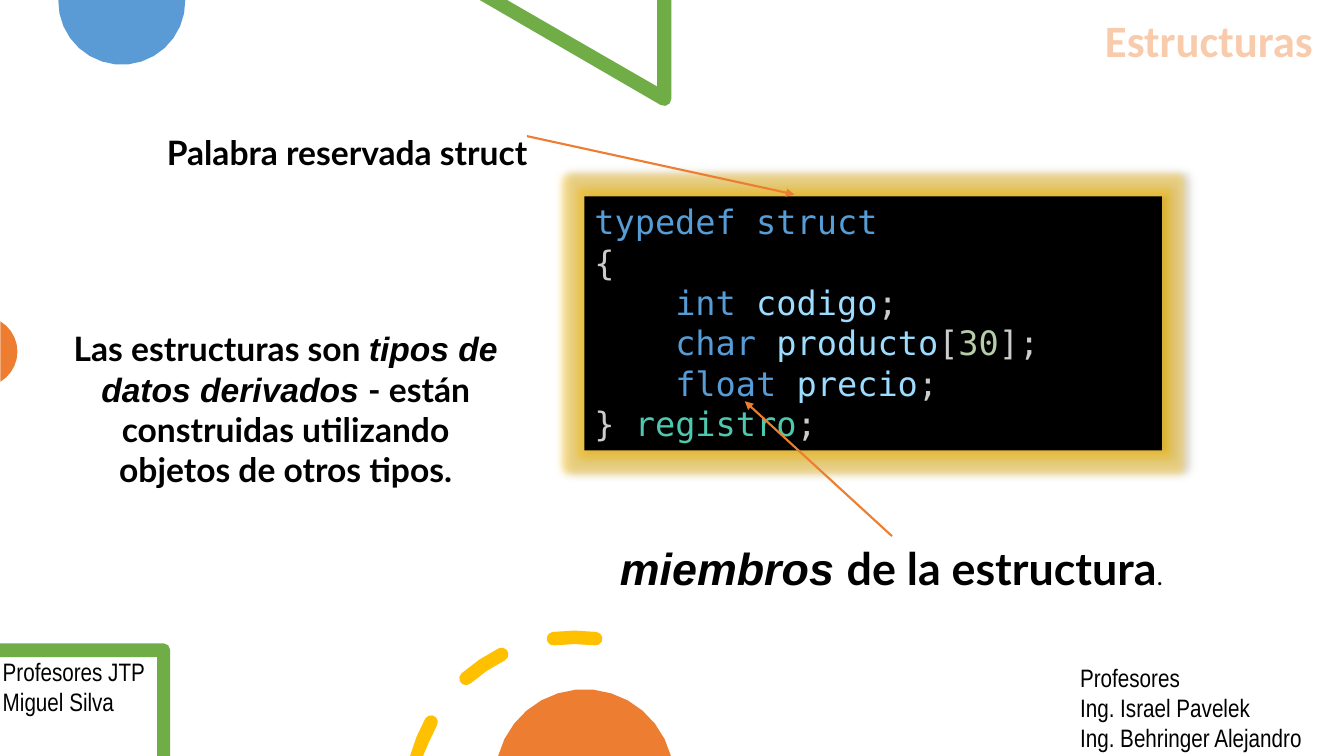
import math
import pptx
import pptx.util
import pptx.dml.color
import pptx.enum.shapes
import pptx.enum.text
import pptx.oxml
import lxml.etree

Cm = pptx.util.Cm
Pt = pptx.util.Pt
RGB = pptx.dml.color.RGBColor
ALIGN = pptx.enum.text.PP_ALIGN
ANCHOR = pptx.enum.text.MSO_ANCHOR
NS = "http://schemas.openxmlformats.org/drawingml/2006/main"

BLACK = RGB(0x00, 0x00, 0x00)
BLUE = RGB(0x5B, 0x9B, 0xD5)
GREEN = RGB(0x70, 0xAD, 0x47)
ORANGE = RGB(0xED, 0x7D, 0x31)
GOLD = RGB(0xFF, 0xC0, 0x00)
PEACH = RGB(0xF8, 0xCB, 0xAD)
KEYWORD = RGB(0x56, 0x9C, 0xD6)
PLAIN = RGB(0xCC, 0xCC, 0xCC)
MEMBER = RGB(0x9C, 0xDC, 0xFE)
NUMBER = RGB(0xB5, 0xCE, 0xA8)
TYPE = RGB(0x4E, 0xC9, 0xB0)

STAFF = dict(name="Arial Narrow", size=Pt(18))
TITLE = dict(name="Calibri", size=Pt(32), bold=True)
CODE = dict(name="DejaVu Sans Mono", size=Pt(24))
BODY = dict(name="Lato", size=Pt(24), bold=True)
TERM = dict(name="Arial", size=Pt(24), bold=True, italic=True)
BIG = dict(BODY, size=Pt(32))
BIG_TERM = dict(TERM, size=Pt(32))
DOT = dict(name="Lato", size=Pt(18), bold=False)

SLIDE_W, SLIDE_H = 33.87, 19.05


def write(tf, paragraphs, **layout):
    tf.word_wrap = True
    for i, runs in enumerate(paragraphs):
        p = tf.paragraphs[0] if i == 0 else tf.add_paragraph()
        for key, value in layout.items():
            setattr(p, key, value)
        for text, fmt, color in runs:
            r = p.add_run()
            r.text = text
            for key, value in fmt.items():
                setattr(r.font, key, value)
            r.font.color.rgb = color


def add_text(s, box, paragraphs, **layout):
    tf = s.shapes.add_textbox(*map(Cm, box)).text_frame
    write(tf, paragraphs, **layout)
    return tf


def arc(cx, cy, radius, start, end):
    steps = max(2, round(abs(end - start) / (36 if radius < 0.5 else 12)))
    angles = [math.radians(start + (end - start) * i / steps) for i in range(steps + 1)]
    return [(cx + radius * math.cos(a), cy + radius * math.sin(a)) for a in angles]


def dash(cx, cy, radius, half, start, end):
    first, *_, last = arc(cx, cy, radius, start, end)
    return (arc(cx, cy, radius + half, start, end)
            + arc(*last, half, end, end + 180)[1:-1]
            + arc(cx, cy, radius - half, end, start)
            + arc(*first, half, start + 180, start + 360)[1:-1])


def add_outline(s, box, contours, color):
    x, y, w, h = box
    contours = [[(Cm(x + min(max(px, 0), w)), Cm(y + min(max(py, 0), h))) for px, py in contour]
                for contour in contours]
    fb = s.shapes.build_freeform(*contours[0][0])
    for i, contour in enumerate(contours):
        if i:
            fb.move_to(*contour[0])
        fb.add_line_segments(contour[1:], close=True)
    sp = fb.convert_to_shape()
    sp.shadow.inherit = False
    sp.fill.solid()
    sp.fill.fore_color.rgb = color
    sp.line.fill.background()


def add_decoration(s, box):
    triangle = [(16.92, 0), (16.56, 0), (16.56, 2.18), (12.78, 0), (12.09, 0)]
    frame = [(4.29, 19.05), (3.96, 19.05), (3.96, 16.56), (0, 16.56), (0, 16.21)]
    spans = (195.4, 208.9), (228.5, 243.6), (262.6, 277.4)
    outlines = [
        ([arc(3.07, 0.03, 1.6, -1, 181)], BLUE),
        ([triangle + arc(16.74, 2.49, 0.18, 120, 0)], GREEN),
        ([arc(-0.45, 8.86, 0.89, -59, 59)], ORANGE),
        ([frame + arc(4.12, 16.38, 0.17, -90, 0)], GREEN),
        ([dash(14.48, 20.19, 4.13, 0.17, *span) for span in spans], GOLD),
        ([arc(14.73, 19.62, 2.25, 194.7, 345.3)], ORANGE),
    ]
    for contours, color in outlines:
        add_outline(s, box, contours, color)


def add_staff(s, box, lines):
    add_text(s, box, [[(line, STAFF, BLACK)] for line in lines])


def add_title(s, box, title):
    tf = add_text(s, box, [[(title, TITLE, PEACH)]], alignment=ALIGN.CENTER, line_spacing=0.9)
    tf.vertical_anchor = ANCHOR.BOTTOM


def add_code(s, box, lines):
    sp = s.shapes.add_shape(pptx.enum.shapes.MSO_SHAPE.RECTANGLE, *map(Cm, box))
    sp.fill.solid()
    sp.fill.fore_color.rgb = BLACK
    sp.line.fill.background()
    sp._element.spPr.append(pptx.oxml.parse_xml(
        f'<a:effectLst xmlns:a="{NS}">'
        f'<a:glow rad="{Pt(11)}"><a:srgbClr val="{GOLD}"><a:alpha val="40000"/></a:srgbClr></a:glow>'
        f'<a:outerShdw blurRad="{Pt(4)}" dist="{Pt(3)}" dir="0"><a:srgbClr val="{BLACK}">'
        '<a:alpha val="40000"/></a:srgbClr></a:outerShdw></a:effectLst>'))
    sp.text_frame.vertical_anchor = ANCHOR.TOP
    write(sp.text_frame, [[(text, CODE, color) for text, color in line] for line in lines],
          alignment=ALIGN.LEFT)


def add_arrow(s, start, end):
    c = s.shapes.add_connector(pptx.enum.shapes.MSO_CONNECTOR.STRAIGHT, *map(Cm, start + end))
    c.line.color.rgb = ORANGE
    c.line.width = Pt(1.5)
    lxml.etree.SubElement(c.line._get_or_add_ln(), f"{{{NS}}}tailEnd", type="triangle")
    lxml.etree.SubElement(c._element.spPr, f"{{{NS}}}effectLst")


def add_note(s, box, paragraphs, arrow=None):
    add_text(s, box, paragraphs, alignment=ALIGN.CENTER)
    if arrow:
        x, y = box[:2]
        add_arrow(s, *[(x + dx, y + dy) for dx, dy in arrow])


def main():
    prs = pptx.Presentation()
    prs.slide_width, prs.slide_height = Cm(SLIDE_W), Cm(SLIDE_H)
    s = prs.slides.add_slide(prs.slide_layouts[6])

    add_decoration(s, (0, 0, SLIDE_W, SLIDE_H))
    add_staff(s, (26.97, 16.56, 6.88, 2.57),
              ["Profesores", "Ing. Israel Pavelek", "Ing. Behringer Alejandro"])
    add_staff(s, (-0.18, 16.41, 7.16, 1.8), ["Profesores JTP", "Miguel Silva"])
    indent, end = ("    ", PLAIN), (";", PLAIN)
    add_code(s, (14.73, 4.95, 14.55, 6.4), [
        [("typedef struct", KEYWORD)],
        [("{", PLAIN)],
        [indent, ("int ", KEYWORD), ("codigo", MEMBER), end],
        [indent, ("char ", KEYWORD), ("producto", MEMBER), ("[", PLAIN),
         ("30", NUMBER), ("];", PLAIN)],
        [indent, ("float ", KEYWORD), ("precio", MEMBER), end],
        [("} ", PLAIN), ("registro", TYPE), end],
    ])
    add_title(s, (27.41, 0.15, 6.12, 1.68), "Estructuras")
    add_note(s, (1.47, 8.15, 11.46, 4.37), [
        [("Las estructuras son ", BODY, BLACK), ("tipos de datos derivados ", TERM, BLACK),
         ("- están construidas utilizando", BODY, BLACK)],
        [("objetos de otros tipos.", BODY, BLACK)],
    ])
    add_note(s, (15.19, 13.51, 14.55, 1.63),
             [[("miembros ", BIG_TERM, BLACK), ("de la estructura", BIG, BLACK), (".", DOT, BLACK)]],
             arrow=((7.29, 0), (3.58, -3.4)))
    add_note(s, (3.02, 3.2, 11.46, 1.27), [[("Palabra reservada struct", BODY, BLACK)]],
             arrow=((10.26, 0.23), (17, 1.7)))
    prs.save("out.pptx")


if __name__ == "__main__":
    main()
